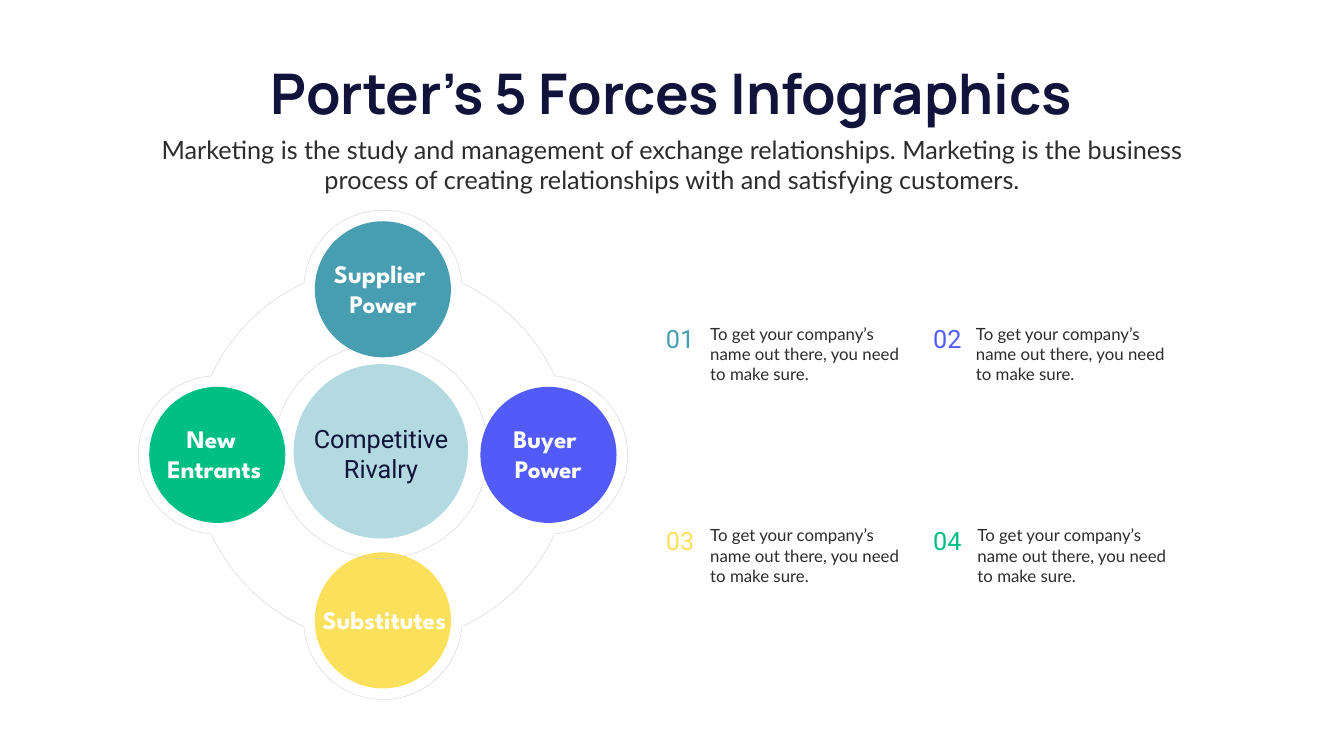
"""Build the five forces slide: a ring of circles beside four numbered notes."""
from dataclasses import dataclass
from math import acos, atan2, cos, pi, sin, tan

from lxml import etree
from pptx import Presentation
from pptx import util as u
from pptx.dml.color import RGBColor
from pptx.enum import shapes, text
from pptx.oxml import ns


@dataclass(frozen=True)
class Theme:
    navy: str = "11133A"
    ink: str = "2D2C2D"
    white: str = "FFFFFF"
    grey: str = "CACACA"
    teal: str = "469EB0"
    pale: str = "B3D9E1"
    blue: str = "525BF8"
    gold: str = "FBE05C"
    green: str = "00BF83"
    head: str = "Manrope"
    body: str = "Lato"
    label: str = "League Spartan"
    plain: str = "Roboto"
    huge: int = 80
    large: int = 36
    small: int = 24
    hair: float = 0.44


theme = Theme()
cols, rows = 26.66, 15
deck = Presentation()
deck.slide_width, deck.slide_height = u.Inches(cols), u.Inches(rows)
cell = deck.slide_height / rows
slide = deck.slides.add_slide(deck.slide_layouts[6])


def write(words, box, face, size, color, align=text.PP_ALIGN.CENTER, bold=False):
    left, top, wide, high = (round(n * cell) for n in box)
    frame = slide.shapes.add_textbox(left, top, wide, high).text_frame
    frame.word_wrap = True
    frame.auto_size = text.MSO_AUTO_SIZE.SHAPE_TO_FIT_TEXT
    frame.text = words
    for para in frame.paragraphs:
        para.alignment = align
        for run in para.runs:
            font = run.font
            font.name, font.size, font.bold = face, u.Pt(size), bold
            font.color.rgb = RGBColor.from_string(color)
    return frame


def paint(shape, fill=None):
    shape.shadow.inherit = False
    if fill:
        shape.fill.solid()
        shape.fill.fore_color.rgb = RGBColor.from_string(fill)
        shape.line.fill.background()
    else:
        shape.fill.background()
        shape.line.color.rgb = RGBColor.from_string(theme.grey)
        shape.line.width = u.Pt(theme.hair)


title = write("Porter's 5 Forces Infographics", (4.72, 1.12, 17.21, 1.45),
              theme.head, theme.huge, theme.navy, bold=True)
title.word_wrap = False
write("Marketing is the study and management of exchange relationships. "
      "Marketing is the business process of creating relationships with and "
      "satisfying customers.", (2.92, 2.61, 20.82, 1.31),
      theme.body, theme.large, theme.ink)

span, gap, disc = 9.71, 6.57, 2.7
midx, midy = 2.74 + span / 2, 4.17 + span / 2
reach, lobe, ring = gap / 2, (span - gap) / 2, 3.75
corex, corey = midx - 0.04, midy - 0.07

discs = [
    (midx, midy + reach, disc, theme.gold),
    (corex, corey, 3.46, theme.pale),
    (corex, corey, 4.25, None),
    (midx, midy - reach, disc, theme.teal),
    None,
    (midx - reach, midy, disc, theme.green),
    (midx + reach, midy, disc, theme.blue),
]

cross = acos((ring ** 2 + reach ** 2 - lobe ** 2) / (2 * ring * reach))
sweep = atan2(ring * sin(cross), ring * cos(cross) - reach)
curves = []
for turn in range(4):
    base = turn * pi / 2
    after = base + pi / 2
    arcs = [(base, reach, lobe, base, base + sweep),
            (base, 0, ring, base + cross, after - cross),
            (after, reach, lobe, after - sweep, after)]
    for axis, off, rad, start, end in arcs:
        x, y = midx + off * cos(axis), midy + off * sin(axis)
        pull = 4 / 3 * tan((end - start) / 4)
        spots = [(cos(start) - pull * sin(start), sin(start) + pull * cos(start)),
                 (cos(end) + pull * sin(end), sin(end) - pull * cos(end)),
                 (cos(end), sin(end))]
        curves.append([((x + rad * h) * cell, (y + rad * v) * cell) for h, v in spots])

for item in discs:
    if item:
        x, y, wide, fill = item
        side = round(wide * cell)
        oval = slide.shapes.add_shape(
            shapes.MSO_SHAPE.OVAL, round((x - wide / 2) * cell),
            round((y - wide / 2) * cell), side, side)
        paint(oval, fill)
        continue
    knots = [curve[-1] for curve in curves]
    pen = slide.shapes.build_freeform(*knots[-1])
    pen.add_line_segments(knots, close=True)
    rim = pen.convert_to_shape()
    paint(rim)
    for leg, curve in zip(list(rim.element.iter(ns.qn("a:lnTo"))), curves):
        leg.tag = ns.qn("a:cubicBezTo")
        leg.remove(leg[0])
        for x, y in curve:
            etree.SubElement(leg, ns.qn("a:pt"),
                             x=str(round(x - rim.left)), y=str(round(y - rim.top)))

labels = [
    ("New \nEntrants", (2.54, 8.34, 3.43, 1.31)),
    ("Buyer \nPower", (9.57, 8.34, 2.61, 1.31)),
    ("Substitutes", (5.91, 11.95, 3.43, 0.71)),
    ("Supplier \nPower", (6.32, 5.07, 2.56, 1.31)),
]
for words, box in labels:
    write(words, box, theme.label, theme.large, theme.white, bold=True)
write("Competitive Rivalry", (5.93, 8.34, 3.26, 1.31),
      theme.plain, theme.large, theme.navy)

note = "To get your company’s name out there, you need to make sure."
notes = [(13.99, 4.03), (19.26, 4.03), (13.99, 3.99), (19.29, 3.99)]
tints = theme.teal, theme.blue, theme.gold, theme.green
for spot, ((left, wide), color) in enumerate(zip(notes, tints)):
    row, col = divmod(spot, 2)
    top = 6.37 + 4 * row
    write(f"{spot + 1:02}", (12.67 + 5.3 * col, top, 1.2, 0.71),
          theme.plain, theme.large, color, text.PP_ALIGN.RIGHT)
    write(note, (left, top, wide, 1.31),
          theme.body, theme.small, theme.ink, text.PP_ALIGN.LEFT)

deck.save("out.pptx")
